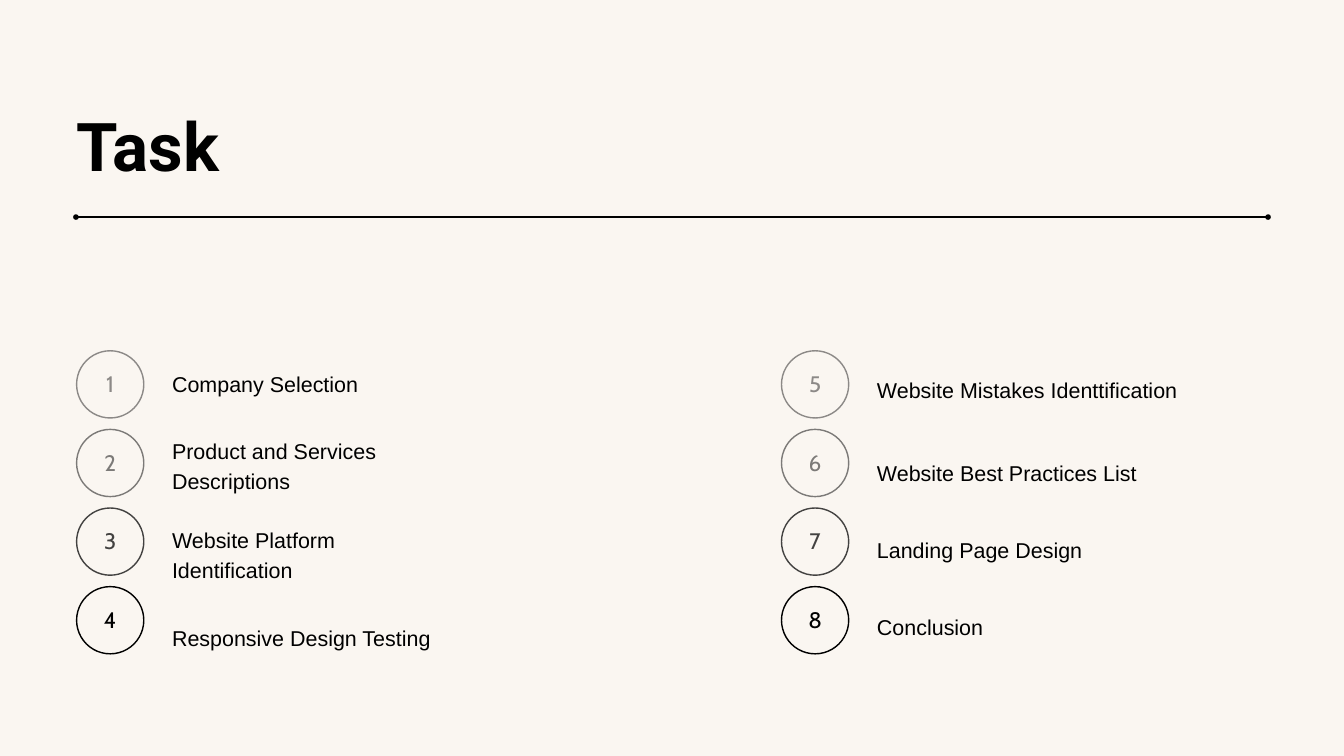
from dataclasses import dataclass

from lxml.etree import SubElement as Sub
from pptx import Presentation
from pptx.dml.color import RGBColor as Rgb
from pptx.enum.shapes import MSO_CONNECTOR as Link, MSO_SHAPE as Form
from pptx.enum.text import MSO_ANCHOR as Anchor, MSO_AUTO_SIZE as Fit, PP_ALIGN as Align
from pptx.oxml import parse_xml
from pptx.oxml.ns import nsdecls, qn
from pptx.util import Inches, Pt

COLS, ROWS = 20, 11.25  # grid of one-inch squares


@dataclass(frozen=True)
class Theme:
    paper: Rgb = Rgb(0xFA, 0xF6, 0xF1)
    ink: Rgb = Rgb(0, 0, 0)
    head: tuple = ("Roboto", 72, 86.4)  # font, size, line pitch
    body: tuple = ("Arial", 23, 32.2)
    mark: tuple = ("Cabin", 24, 31.2)
    line: float = 1.5


def put(frame, text, *, face, color, bold=False, align=Align.LEFT,
        anchor=Anchor.MIDDLE, pad=None):
    """Write one paragraph into a frame and format it."""
    font, size, pitch = face
    if pad is not None:
        sides = ("margin_left", "margin_top", "margin_right", "margin_bottom")
        for side, gap in zip(sides, pad):
            setattr(frame, side, Inches(gap))
    frame.word_wrap = True
    frame.vertical_anchor = anchor
    para = frame.paragraphs[0]
    para.alignment, para.line_spacing = align, Pt(pitch)
    run = para.add_run()
    run.text = text
    run.font.name, run.font.size, run.font.bold = font, Pt(size), bold
    run.font.color.rgb = color


class Board:
    """The style and the slide being built."""

    def __init__(self, deck, theme):
        self.theme = theme
        self.slide = deck.slides.add_slide(deck.slide_layouts[5])
        fill = self.slide.background.fill
        fill.solid()
        fill.fore_color.rgb = theme.paper

    def title(self, text, x, y, w, h):
        box = self.slide.shapes.title
        box.left, box.top, box.width, box.height = map(Inches, (x, y, w, h))
        put(box.text_frame, text, face=self.theme.head, color=self.theme.ink,
            bold=True, anchor=Anchor.TOP, pad=(0, 0, 0, 0))
        box.text_frame.auto_size = Fit.SHAPE_TO_FIT_TEXT

    def rule(self, x, y, end):
        bar = self.slide.shapes.add_connector(
            Link.STRAIGHT, *map(Inches, (x, y, end, y)))
        bar.line.color.rgb = self.theme.ink
        bar.line.width = Pt(self.theme.line)
        edge = bar.line._ln
        for tip in ("a:headEnd", "a:tailEnd"):
            Sub(edge, qn(tip), type="oval")
        Sub(bar._element.spPr, qn("a:effectLst"))

    def badge(self, text, x, y, size, alpha):
        ring = self.slide.shapes.add_shape(
            Form.OVAL, *map(Inches, (x, y, size, size)))
        ring.shadow.inherit = False
        ring.fill.background()
        ring.line.color.rgb = self.theme.ink
        ring.line.width = Pt(self.theme.line)
        put(ring.text_frame, text, face=self.theme.mark, color=self.theme.ink,
            align=Align.CENTER, pad=(0, 0, 0, 0.06))
        if alpha < 100:  # fade the outline and the number alike
            for tone in ring._element.iter(qn("a:srgbClr")):
                Sub(tone, qn("a:alpha"), val=str(alpha * 1000))

    def table(self, items, x, y, w, rows):
        grid = self.slide.shapes.add_table(
            len(items), 1, *map(Inches, (x, y, w, sum(rows)))).table
        grid.first_row = grid.horz_banding = False
        for row, tall, text in zip(grid.rows, rows, items):
            row.height = Inches(tall)
            cell = row.cells[0]
            cell.margin_left = cell.margin_right = Inches(0.21)
            cell.margin_top = cell.margin_bottom = Inches(0.21)
            cell.vertical_anchor = Anchor.MIDDLE
            put(cell.text_frame, text, face=self.theme.body, color=self.theme.ink)
            cell.vertical_anchor = Anchor.MIDDLE
            cell.fill.background()
            # Hide all four borders
            for i, side in enumerate("LRTB"):
                edge = f'<a:ln{side} {nsdecls("a")} w="0"><a:noFill/></a:ln{side}>'
                cell._tc.tcPr.insert(i, parse_xml(edge))


def main():
    deck = Presentation()
    deck.slide_width, deck.slide_height = Inches(COLS), Inches(ROWS)
    board = Board(deck, Theme())

    # Heading and rule
    edge = 1.13
    board.title("Task", 1.14, 1.55, 8.79, 1.23)
    board.rule(edge, 3.23, COLS - edge)

    # Two lists: badge left, table left, table width, row heights, items
    lists = (
        (1.14, 2.35, 4.57, (1.14, 1.32, 1.32, 1.14),
         ("Company Selection", "Product and Services Descriptions",
          "Website Platform Identification", "Responsive Design Testing")),
        (11.63, 12.84, 5.16, (1.32, 1.15, 1.15, 1.15),
         ("Website Mistakes Identtification", "Website Best Practices List",
          "Landing Page Design", "Conclusion")),
    )
    alphas = (44, 49, 73, 100)
    step, count = 1.17, 1
    for left, start, wide, rows, items in lists:
        board.table(items, start, 5.11, wide, rows)
        for i, alpha in enumerate(alphas):
            board.badge(str(count), left, 5.22 + i * step, 1, alpha)
            count += 1

    deck.save("out.pptx")


if __name__ == "__main__":
    main()
